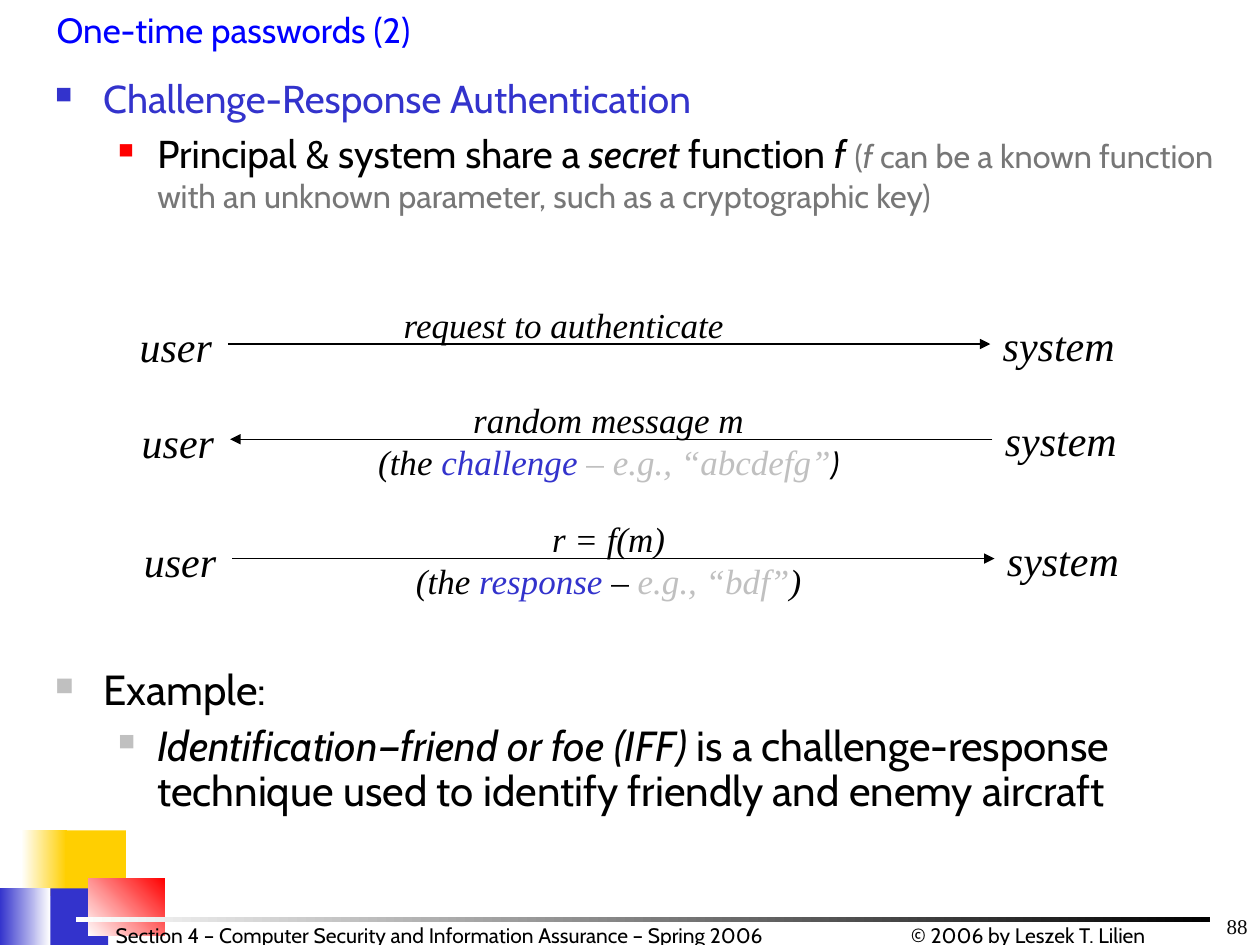
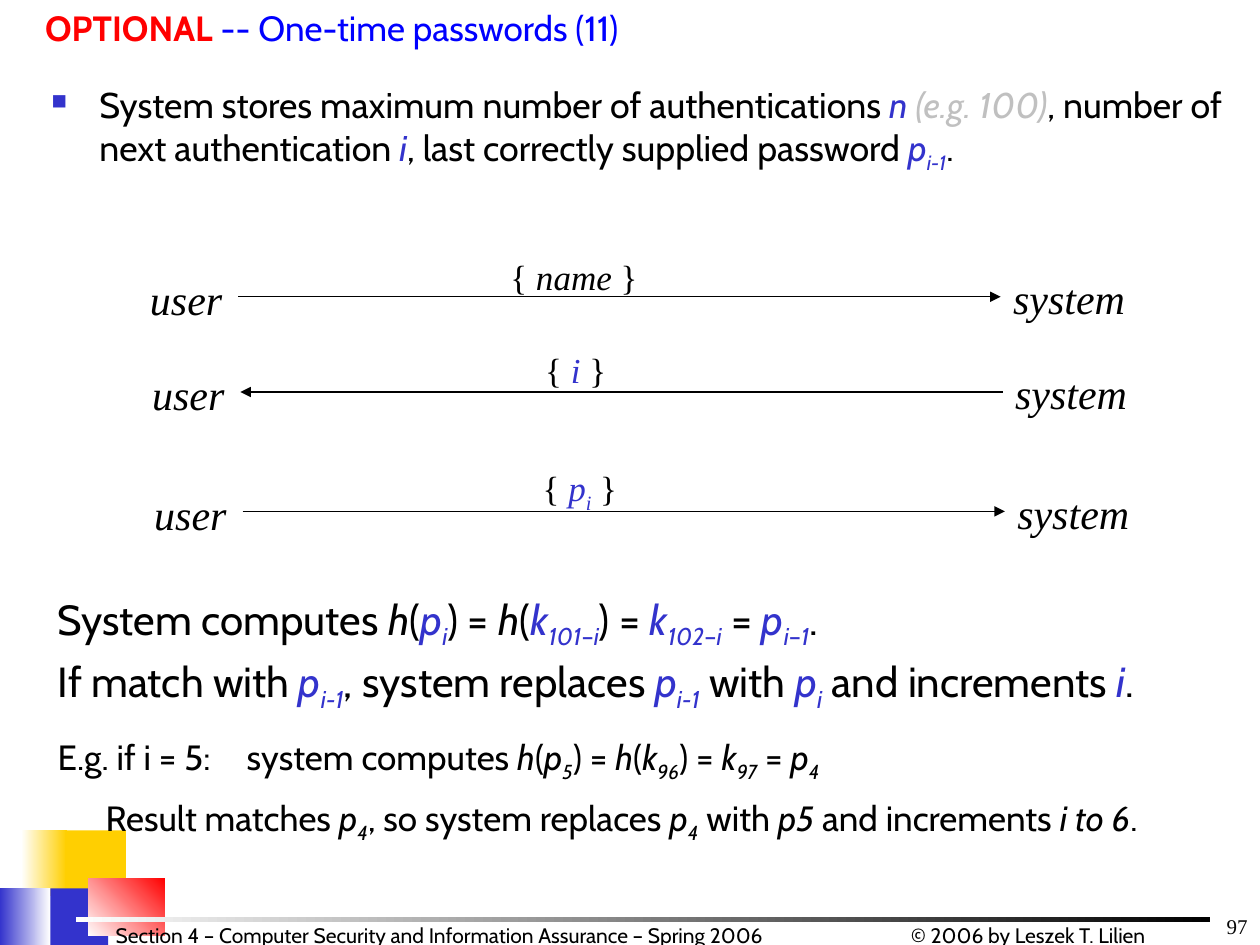
from lxml.etree import SubElement
from pptx import Presentation
from pptx.dml.color import RGBColor
from pptx.enum.shapes import MSO_CONNECTOR as CONNECTOR, MSO_SHAPE as SHAPE
from pptx.enum.text import MSO_ANCHOR as ANCHOR, PP_ALIGN as ALIGN
from pptx.oxml.ns import qn
from pptx.util import Pt

COLORS = {
    "black": "000000", "white": "FFFFFF", "number": "080808",
    "title": "0000FF", "blue": "3333CC", "red": "FF0000",
    "yellow": "FFCF01", "gray": "777777", "silver": "C0C0C0",
}
SANS, SERIF = "Cabin", "Times New Roman"


def rgb(name):
    return RGBColor.from_string(COLORS[name])


def add_text(slide, box, paragraphs, anchor=ANCHOR.TOP, align=ALIGN.LEFT, **base):
    """Paragraphs are dicts with runs; a run is a string or (string, format)."""
    frame = slide.shapes.add_textbox(*map(Pt, box)).text_frame
    frame.word_wrap = True
    frame.vertical_anchor = anchor
    for index, item in enumerate(paragraphs):
        paragraph = frame.paragraphs[0] if index == 0 else frame.add_paragraph()
        paragraph.alignment = align
        paragraph.level = item.get("level", 0)
        paragraph.line_spacing = item.get("spacing", 1.0)
        paragraph.space_before = Pt(item.get("before", 0))
        paragraph.space_after = Pt(item.get("after", 0))
        props = paragraph._p.get_or_add_pPr()
        left, hanging = item.get("indent", (0, 0))
        props.set("marL", str(Pt(left)))
        props.set("indent", str(Pt(-hanging)))
        if "bullet" in item:
            color, percent = item["bullet"]
            SubElement(SubElement(props, qn("a:buClr")), qn("a:srgbClr"), val=COLORS[color])
            SubElement(props, qn("a:buSzPct"), val=str(percent * 1000))
            SubElement(props, qn("a:buChar"), char="■")
        if "tab" in item:
            tabs = SubElement(props, qn("a:tabLst"))
            SubElement(tabs, qn("a:tab"), pos=str(Pt(item["tab"])), algn="l")
        for part in item["runs"]:
            words, extra = (part, {}) if isinstance(part, str) else part
            style = {"size": 20, "font": SANS, "color": "black", **base,
                     **item.get("style", {}), **extra}
            run = paragraph.add_run()
            run.text = words
            run.font.size = Pt(style["size"])
            run.font.name = style["font"]
            run.font.color.rgb = rgb(style["color"])
            run.font.italic = style.get("italic", False)
            run.font.bold = style.get("bold", False)
            if style.get("sub"):
                run._r.get_or_add_rPr().set("baseline", "-25000")


# Run formats and bullet levels
ITALIC = {"italic": True}
UPRIGHT = {"italic": False}
SUB = {"italic": True, "sub": True}
BLUE = {"color": "blue"}
SILVER = {"color": "silver"}
VAR = {**BLUE, **ITALIC}
VAR_SUB = {**BLUE, **SUB}
VAR_DASH = {**BLUE, "sub": True}
NOTE = {"color": "gray", "size": 18.5}
TOP_LEVEL = {"indent": (27.4, 27.4)}
SUB_LEVEL = {"level": 1, "indent": (58.3, 22.3)}

# Corner blocks and rule: box, start colour, end colour, angle
DECORATION = [
    ((12.2, 474.5, 25.9, 37.4), "white", "yellow", 0),
    ((0, 507.6, 28.8, 32.4), "blue", "white", 0),
    ((37.4, 474.5, 34.6, 37.4), "yellow", None, 0),
    ((28.8, 507.6, 33.1, 32.4), "blue", None, 0),
    ((50.4, 501.8, 43.9, 33.1), "white", "red", 45),
    ((43.2, 524.2, 648, 2.9), "white", "black", 0),
]

# The user/system exchange: row offsets from the first row
ROWS = [(0, 0), (1.2, 54.4), (2.4, 122.6)]
LABEL_WIDTH = 360

prs = Presentation()
prs.slide_width, prs.slide_height = Pt(720), Pt(540)

pages = [
    {
        "number": "88",
        "title_box": (25.2, 5.8, 694.8, 34),
        "title_spacing": 0.8,
        "title": ["One-time passwords (2)"],
        "origin": (72.7, 179.8),
        # Label: centre, offset above the row, lines
        "labels": [
            (322.2, -9.9, [["request to authenticate"]]),
            (347.8, -10.2, [
                ["random message m"],
                ["(the ", ("challenge ", BLUE), ("– e.g., “abcdefg”", SILVER),
                 (")", {"size": 18, "font": SANS})],
            ]),
            (347.8, -10, [
                ["r = f(m)"],
                ["(the ", ("response ", BLUE), "– ", ("e.g., “bdf”", SILVER), ")"],
            ]),
        ],
        "label_style": ITALIC,
        "bodies": [
            ((24.5, 38.9, 695.5, 107.3), 22.2, [
                {**TOP_LEVEL, "bullet": ("blue", 60),
                 "runs": [("Challenge-Response Authentication", BLUE)]},
                {**SUB_LEVEL, "bullet": ("red", 55), "before": 5, "runs": [
                    "Principal & system share a ", ("secret", ITALIC), " function ",
                    ("f ", ITALIC), ("(", NOTE), ("f ", {**NOTE, **ITALIC}),
                    ("can be a known function with an unknown parameter, "
                     "such as a cryptographic key)", NOTE)]},
            ]),
            ((24.5, 378.7, 695.5, 114.5), 24, [
                {**TOP_LEVEL, "bullet": ("silver", 60), "spacing": 0.9, "runs": ["Example:"]},
                {**SUB_LEVEL, "bullet": ("silver", 55), "spacing": 0.9, "before": 6, "runs": [
                    ("Identification—friend or foe (IFF)", ITALIC),
                    " is a challenge-response technique used to identify "
                    "friendly and enemy aircraft"]},
            ]),
        ],
    },
    {
        "number": "97",
        "title_box": (18.7, 0, 701.3, 40),
        "title_spacing": 1.0,
        "title": [("OPTIONAL", {"color": "red", "bold": True}),
                  " -- One-time passwords (11)"],
        "origin": (78.6, 152.8),
        "labels": [
            (328, -10.2, [["{ ", ("name ", ITALIC), "}"]]),
            (329, -11.4, [["{ ", ("i", VAR), " }"]]),
            (331.4, -12.4, [["{ ", ("p", VAR), ("i", VAR_SUB), " }"]]),
        ],
        "label_style": UPRIGHT,
        "bodies": [
            ((22.3, 43.9, 697.7, 69.1), 20.4, [
                {**TOP_LEVEL, "bullet": ("blue", 60), "runs": [
                    "System stores maximum number of authentications ", ("n ", VAR),
                    ("(e.g. 100)", {**SILVER, **ITALIC}), ", number of next authentication ",
                    ("i", VAR), ", last correctly supplied password ",
                    ("p", VAR), ("i-1", VAR_SUB), "."]},
            ]),
            ((25.9, 335.5, 694.1, 170), 24, [
                {"runs": [
                    "System computes ", ("h", ITALIC), "(", ("p", VAR), ("i", VAR_SUB), ") = ",
                    ("h", ITALIC), "(", ("k", VAR), ("101", VAR_SUB), ("–", VAR_DASH),
                    ("i", VAR_SUB), ") = ", ("k", VAR), ("102", VAR_SUB), ("–", VAR_DASH),
                    ("i", VAR_SUB), " = ", ("p", VAR), ("i", VAR_SUB), ("–", VAR_DASH),
                    ("1", VAR_SUB), "."]},
                {"before": 3, "after": 3, "runs": [
                    "If match with ", ("p", VAR), ("i-1", VAR_SUB), ", system replaces ",
                    ("p", VAR), ("i-1", VAR_SUB), " with ", ("p", VAR), ("i", VAR_SUB),
                    " and increments ", ("i", VAR), "."]},
                {"before": 9.7, "tab": 93.2, "style": {"size": 20}, "runs": [
                    "E.g. if i = 5:\tsystem computes ", ("h", ITALIC), "(", ("p", ITALIC),
                    ("5", SUB), ") = ", ("h", ITALIC), "(", ("k", ITALIC), ("96", SUB), ") = ",
                    ("k", ITALIC), ("97", SUB), " = ", ("p", ITALIC), ("4", SUB)]},
                {"before": 7.5, "indent": (27.4, 0), "style": {"size": 20}, "runs": [
                    "Result matches ", ("p", ITALIC), ("4", SUB), ", so system replaces ",
                    ("p", ITALIC), ("4", SUB), " with ", ("p5", ITALIC), " and increments ",
                    ("i to 6", ITALIC), "."]},
            ]),
        ],
    },
]

for page in pages:
    slide = prs.slides.add_slide(prs.slide_layouts[6])

    # Page number, corner blocks and footer
    add_text(slide, (570.2, 518.4, 149.8, 21.6), [{"runs": [page["number"]]}],
             anchor=ANCHOR.BOTTOM, align=ALIGN.RIGHT, size=12, font=SERIF, color="number")
    for box, start, end, angle in DECORATION:
        block = slide.shapes.add_shape(SHAPE.RECTANGLE, *map(Pt, box))
        block.shadow.inherit = False
        block.line.fill.background()
        if end:
            block.fill.gradient()
            block.fill.gradient_angle = angle
            for stop, color in zip(block.fill.gradient_stops, (start, end)):
                stop.color.rgb = rgb(color)
        else:
            block.fill.solid()
            block.fill.fore_color.rgb = rgb(start)
    add_text(slide, (450.7, 523.4, 211, 21.6), [{"runs": ["© 2006 by Leszek T. Lilien"]}],
             align=ALIGN.RIGHT, size=12)
    add_text(slide, (59, 523.4, 424.1, 21.6),
             [{"runs": ["Section 4 – Computer Security and Information Assurance – Spring 2006"]}],
             size=12)

    # Title and body text
    add_text(slide, page["title_box"],
             [{"runs": page["title"], "spacing": page["title_spacing"]}], color="title")
    for box, size, paragraphs in page["bodies"]:
        add_text(slide, box, paragraphs, size=size)

    # Message exchange
    for row, (dx, dy) in enumerate(ROWS):
        x, y = page["origin"][0] + dx, page["origin"][1] + dy
        for party, left, top, width in (("user", x, y, 62), ("system", x + 493.2, y - 0.6, 85)):
            add_text(slide, (left, top, width, 36), [{"runs": [party]}],
                     size=24, font=SERIF, italic=True)

        user_end, system_end = x + 57.6, x + 493.2
        start, end = (system_end, user_end) if row == 1 else (user_end, system_end)
        arrow = slide.shapes.add_connector(
            CONNECTOR.STRAIGHT, Pt(start), Pt(y + 16.8), Pt(end), Pt(y + 16.8))
        arrow.line.color.rgb = rgb("black")
        arrow.line.width = Pt(0.75)
        SubElement(arrow.line._get_or_add_ln(), qn("a:tailEnd"), type="triangle")
        SubElement(arrow._element.spPr, qn("a:effectLst"))

        center, rise, lines = page["labels"][row]
        height = 31.7 if len(lines) == 1 else 55.4
        add_text(slide, (center - LABEL_WIDTH / 2, y + rise, LABEL_WIDTH, height),
                 [{"runs": runs} for runs in lines],
                 align=ALIGN.CENTER, font=SERIF, **page["label_style"])

prs.save("out.pptx")
